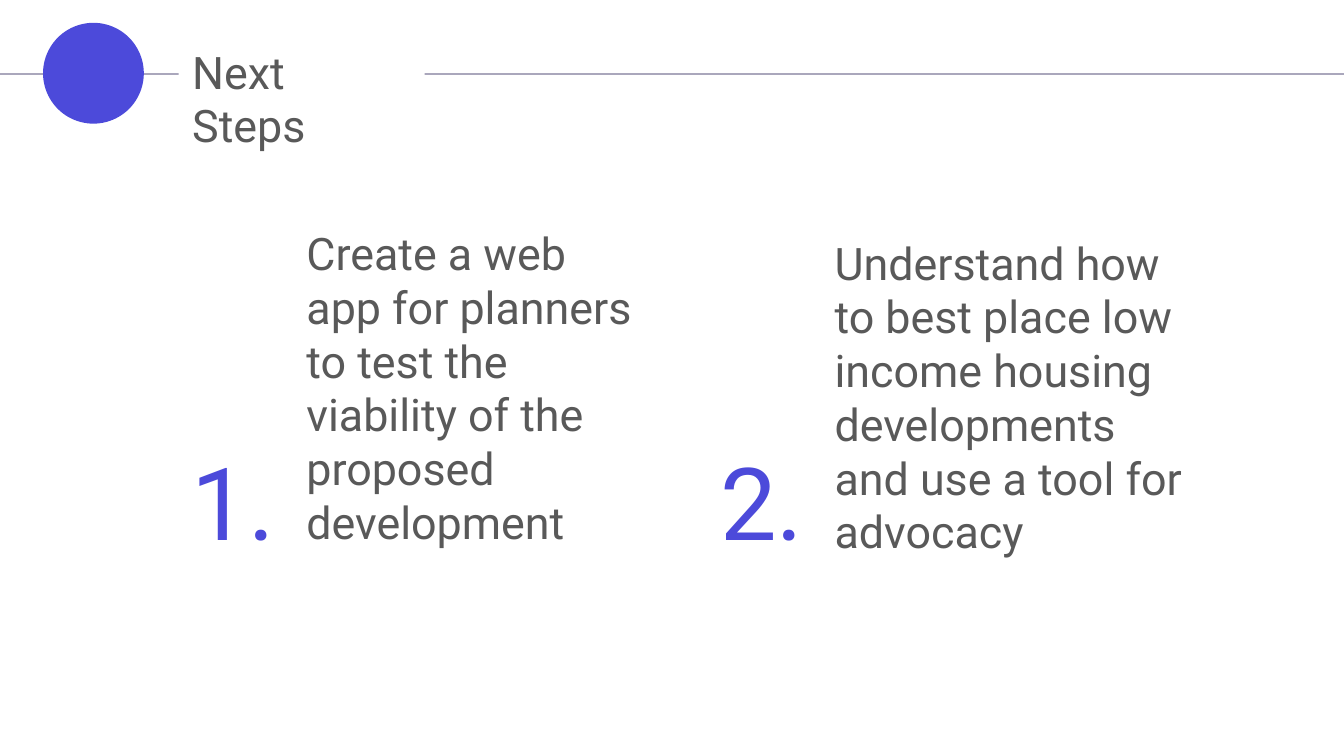
"""Build the Next Steps slide with its header band and two numbered steps."""
from dataclasses import dataclass

from lxml import etree
from pptx import Presentation
from pptx.dml.color import RGBColor
from pptx.enum.shapes import MSO_CONNECTOR, MSO_SHAPE
from pptx.enum.text import MSO_ANCHOR, MSO_AUTO_SIZE, PP_ALIGN
from pptx.oxml.ns import qn
from pptx.util import Inches, Pt

STRAIGHT = MSO_CONNECTOR.STRAIGHT
OVAL, RECTANGLE = MSO_SHAPE.OVAL, MSO_SHAPE.RECTANGLE
TOP, LEFT = MSO_ANCHOR.TOP, PP_ALIGN.LEFT
NO_FIT, GROW = MSO_AUTO_SIZE.NONE, MSO_AUTO_SIZE.SHAPE_TO_FIT_TEXT
TWO_CONTENT_LAYOUT = 3
FONT = "Roboto"
ACCENT, TEXT, RULE, WHITE = "4C4ADA", "595959", "AAA7BC", "FFFFFF"
SLIDE_WIDTH = 10
SLIDE_HEIGHT = SLIDE_WIDTH * 9 / 16
RULE_TOP = 0.55
HEADER_TOP, HEADER_HEIGHT = 0.17, 0.75


@dataclass(frozen=True)
class Box:
    left: float
    top: float
    width: float
    height: float


@dataclass(frozen=True)
class Step:
    number: str
    text: str
    number_box: Box
    text_box: Box


STEPS = (
    Step("1.", "Create a web app for planners to test the viability of the proposed development",
         Box(1.33, 3.22, 0.85, 1.01), Box(2.18, 1.63, 2.65, 2.52)),
    Step("2.", "Understand how to best place low income housing developments and use a tool for advocacy",
         Box(5.26, 3.22, 0.85, 1.01), Box(6.11, 1.7, 2.89, 2.52)),
)


def color(value: str) -> RGBColor:
    return RGBColor.from_string(value)


def place(shape, box: Box) -> None:
    shape.left, shape.top = Inches(box.left), Inches(box.top)
    shape.width, shape.height = Inches(box.width), Inches(box.height)


def write(shape, text: str, size: int, text_color: str, wrap: bool = True) -> None:
    frame = shape.text_frame
    frame.word_wrap = wrap
    frame.auto_size = NO_FIT if wrap else GROW
    frame.vertical_anchor = TOP
    paragraph = frame.paragraphs[0]
    paragraph.alignment = LEFT
    paragraph.space_before = Pt(0)
    run = paragraph.add_run()
    run.text = text
    run.font.name, run.font.size = FONT, Pt(size)
    run.font.color.rgb = color(text_color)


def remove_bullet(paragraph) -> None:
    properties = paragraph._p.get_or_add_pPr()
    properties.set("marL", "0")
    properties.set("indent", "0")
    etree.SubElement(properties, qn("a:buNone"))


def add_rule(slide) -> None:
    rule = slide.shapes.add_connector(
        STRAIGHT, 0, Inches(RULE_TOP), Inches(SLIDE_WIDTH), Inches(RULE_TOP))
    rule.line.color.rgb = color(RULE)
    rule.line.width = Pt(1.5)
    etree.SubElement(rule._element.spPr, qn("a:effectLst"))


def add_header_shape(slide, kind: MSO_SHAPE, left: float, width: float, fill: str) -> None:
    shape = slide.shapes.add_shape(
        kind, Inches(left), Inches(HEADER_TOP), Inches(width), Inches(HEADER_HEIGHT))
    shape.shadow.inherit = False
    shape.fill.solid()
    shape.fill.fore_color.rgb = color(fill)
    shape.line.fill.background()


def add_title(slide, text: str) -> None:
    title = slide.shapes.title
    slide.shapes._spTree.append(title._element)
    place(title, Box(1.33, 0.28, 1.74, 0.5))
    write(title, text, 24, TEXT)


def add_step(slide, body, step: Step) -> None:
    number = slide.shapes.add_textbox(0, 0, 0, 0)
    place(number, step.number_box)
    write(number, step.number, 54, ACCENT, wrap=False)
    place(body, step.text_box)
    write(body, step.text, 24, TEXT)
    remove_bullet(body.text_frame.paragraphs[0])


def main() -> None:
    presentation = Presentation()
    presentation.slide_width = Inches(SLIDE_WIDTH)
    presentation.slide_height = Inches(SLIDE_HEIGHT)
    slide = presentation.slides.add_slide(presentation.slide_layouts[TWO_CONTENT_LAYOUT])
    add_rule(slide)
    add_header_shape(slide, OVAL, 0.32, HEADER_HEIGHT, ACCENT)
    add_header_shape(slide, RECTANGLE, 1.33, 1.83, WHITE)
    add_title(slide, "Next Steps")
    for index, step in enumerate(STEPS, start=1):
        add_step(slide, slide.placeholders[index], step)
    presentation.save("out.pptx")


if __name__ == "__main__":
    main()
